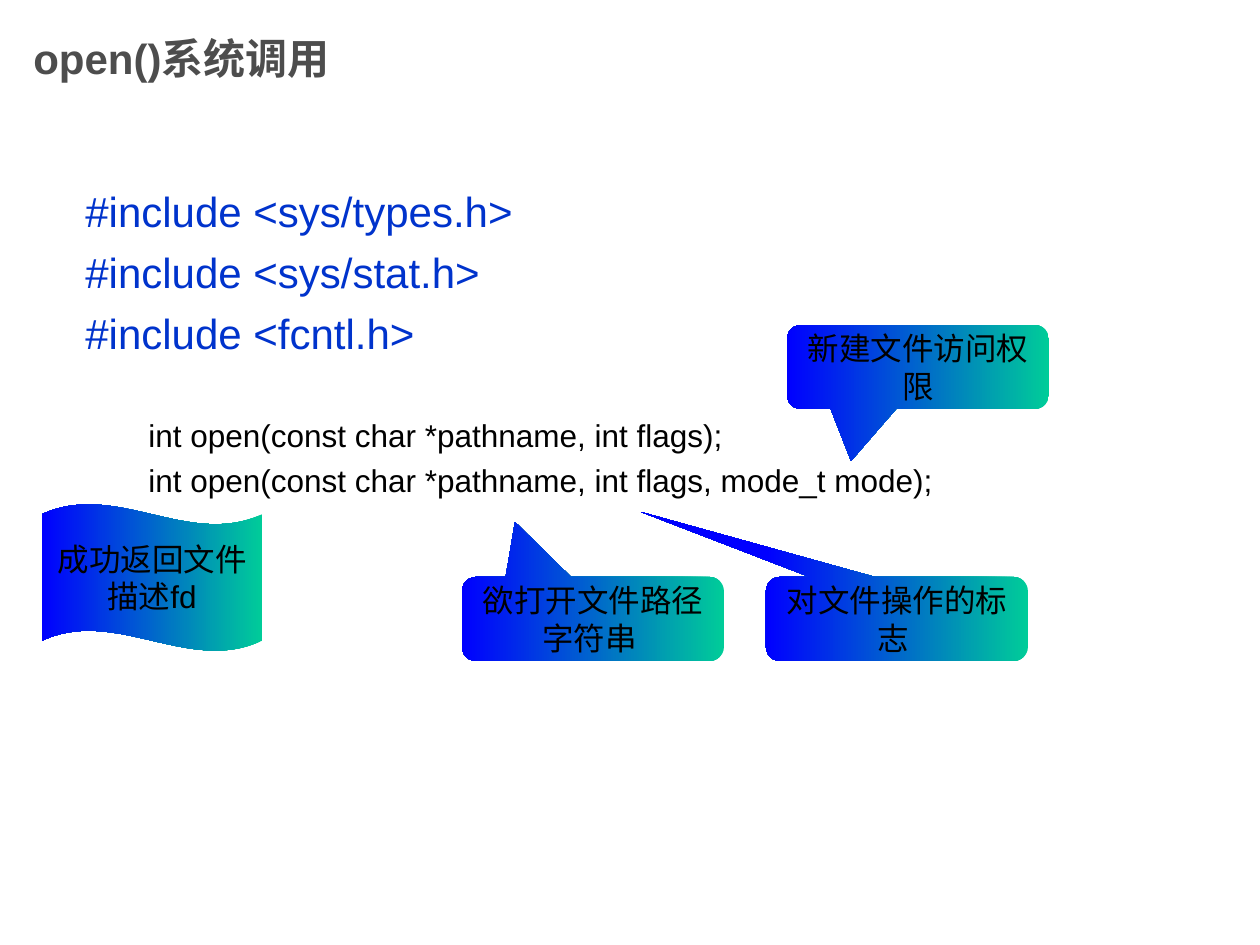
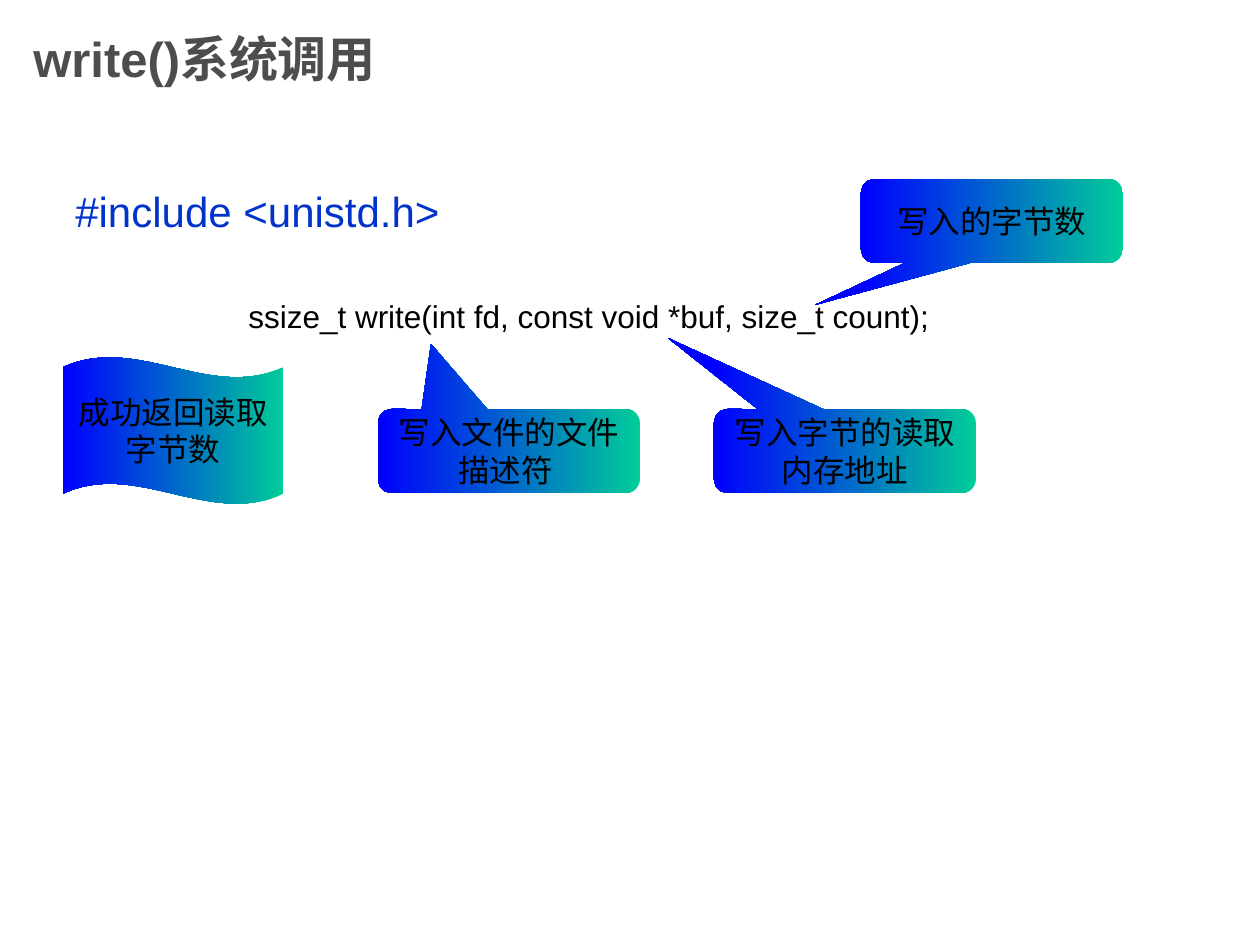
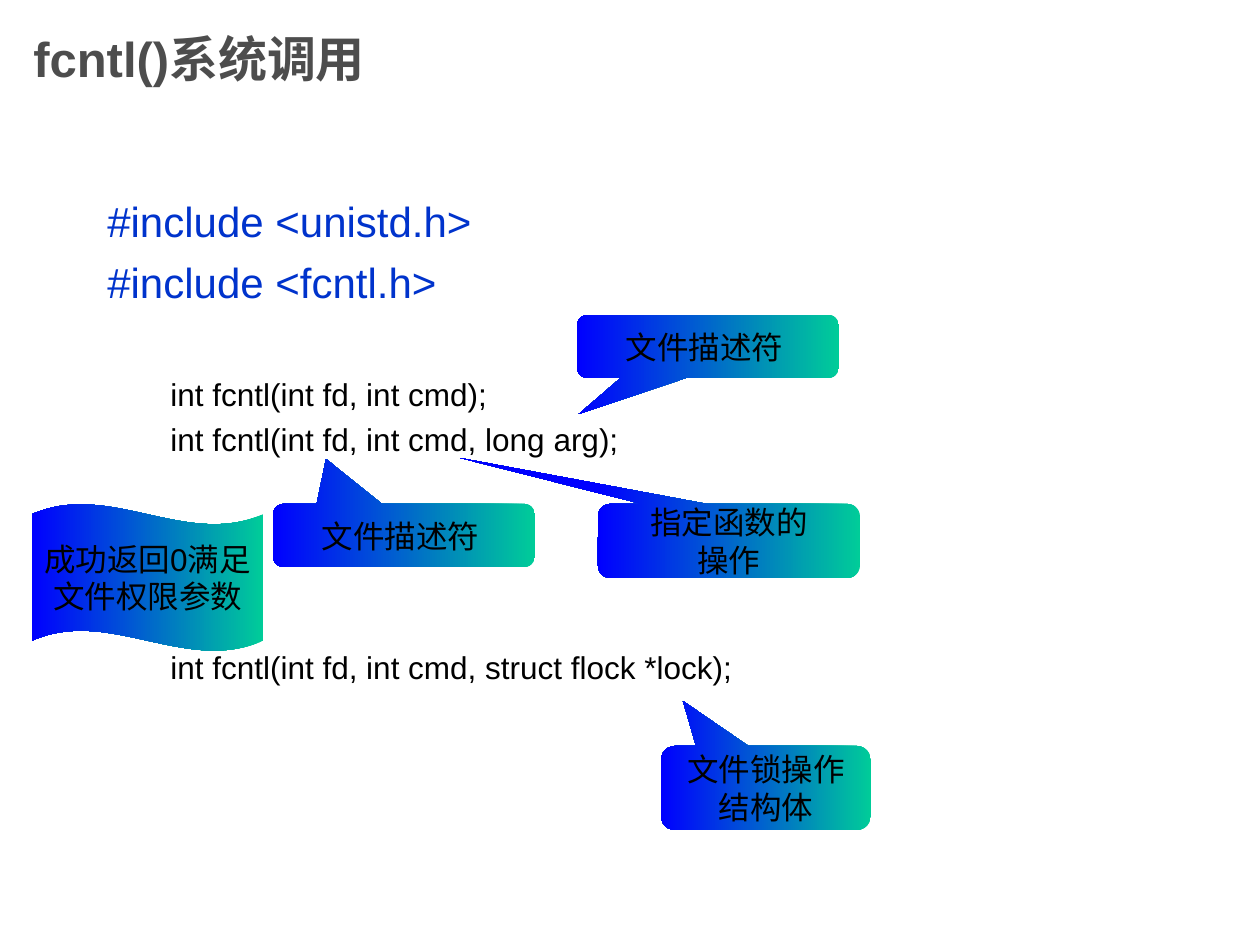
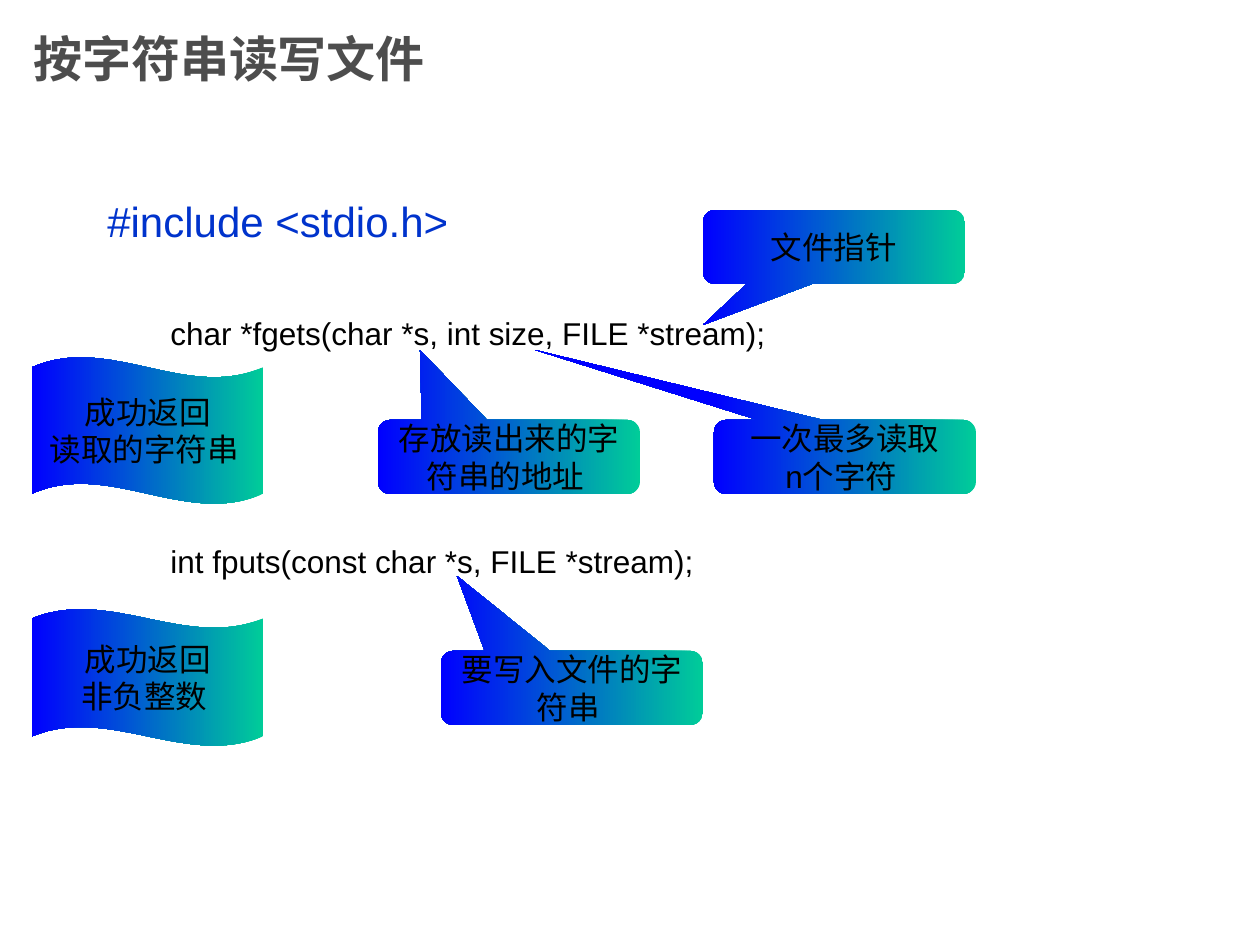
from pptx import Presentation
from pptx.dml.color import RGBColor
from pptx.enum.shapes import MSO_SHAPE
from pptx.enum.text import MSO_ANCHOR, PP_ALIGN
from pptx.util import Pt

PX = 914400 // 126
CALLOUT, WAVE = MSO_SHAPE.ROUNDED_RECTANGULAR_CALLOUT, MSO_SHAPE.WAVE
MIDDLE, TOP = MSO_ANCHOR.MIDDLE, MSO_ANCHOR.TOP
CENTER, LEFT = PP_ALIGN.CENTER, PP_ALIGN.LEFT

GRAY = RGBColor(0x4D, 0x4D, 0x4D)
NAVY = RGBColor(0x00, 0x33, 0xCC)
BLACK = RGBColor(0, 0, 0)
GREEN = RGBColor(0x00, 0xCC, 0x99)
BLUE = RGBColor(0x00, 0x00, 0xFF)

INCLUDE = {"size": Pt(24), "color": NAVY, "line_spacing": Pt(28.8)}
CODE = {"size": Pt(18), "color": BLACK, "line_spacing": Pt(21.5)}
LABEL = {"size": Pt(18), "color": BLACK, "alignment": CENTER}
TITLE_BOX = (21, 0, 945, 116)
BODY_SIZE = (1071, 651)
CALLOUT_WIDTH = 262
CODE_INDENT = 63

SLIDES = [
    {
        "title": "open()系统调用", "title_size": 24, "body_at": (73, 179),
        "includes": ["#include <sys/types.h>", "#include <sys/stat.h>", "#include <fcntl.h>"],
        "code": [("int open(const char *pathname, int flags);", 33.5),
                 ("int open(const char *pathname, int flags, mode_t mode);", 4.5)],
        "callouts": [(["欲打开文件路径字符串 "], (462, 577, CALLOUT_WIDTH, 84), (515, 522)),
                     (["对文件操作的标志 "], (766, 577, CALLOUT_WIDTH, 84), (641, 512)),
                     (["新建文件访问权限"], (787, 325, CALLOUT_WIDTH, 84), (851, 461))],
        "flags": [(["成功返回文件", "描述fd"], (42, 504, 220, 147))],
    },
    {
        "title": "write()系统调用", "title_size": 28, "body_at": (63, 179), "code_indent": 173,
        "includes": ["#include <unistd.h>"],
        "code": [("ssize_t write(int fd, const void *buf, size_t count);", 35)],
        "callouts": [(["写入文件的文件描述符 "], (378, 409, CALLOUT_WIDTH, 84), (431, 344)),
                     (["写入字节的读取内存地址"], (714, 409, CALLOUT_WIDTH, 84), (668, 338)),
                     (["写入的字节数"], (861, 179, CALLOUT_WIDTH, 84), (815, 305))],
        "flags": [(["成功返回读取", "字节数"], (63, 357, 220, 147))],
    },
    {
        "title": "fcntl()系统调用", "title_size": 28, "body_at": (95, 189),
        "includes": ["#include <unistd.h>", "#include <fcntl.h>"],
        "code": [("int fcntl(int fd, int cmd);", 39),
                 ("int fcntl(int fd, int cmd, long arg);", 4.5),
                 ("int fcntl(int fd, int cmd, struct flock *lock);", 109)],
        "callouts": [(["文件描述符 "], (273, 504, CALLOUT_WIDTH, 63), (326, 459)),
                     (["指定函数的", "操作"], (598, 504, CALLOUT_WIDTH, 74), (460, 458)),
                     (["文件描述符 "], (577, 315, CALLOUT_WIDTH, 63), (579, 414)),
                     (["文件锁操作", "结构体"], (661, 746, 210, 84), (683, 701))],
        "flags": [(["成功返回0满足", "文件权限参数"], (32, 504, 231, 147))],
    },
    {
        "title": "按字符串读写文件", "title_size": 28, "body_at": (95, 189),
        "includes": ["#include <stdio.h>"],
        "code": [("char *fgets(char *s, int size, FILE *stream);", 39),
                 ("int fputs(const char *s, FILE *stream);", 109)],
        "callouts": [(["存放读出来的字符串的地址 "], (378, 420, CALLOUT_WIDTH, 74), (420, 350)),
                     (["一次最多读取", "n个字符 "], (714, 420, CALLOUT_WIDTH, 74), (535, 350)),
                     (["文件指针"], (703, 210, CALLOUT_WIDTH, 74), (703, 325)),
                     (["要写入文件的字符串 "], (441, 651, CALLOUT_WIDTH, 74), (457, 576))],
        "flags": [(["成功返回", "读取的字符串 "], (32, 357, 231, 147)),
                  (["成功返回", "非负整数 "], (32, 609, 231, 137))],
    },
]


def scaled(lengths):
    return [length * PX for length in lengths]


def write(box, lines, anchor, wrap=True):
    frame = box.text_frame
    frame.word_wrap = wrap
    frame.vertical_anchor = anchor
    for number, (text, style) in enumerate(lines):
        paragraph = frame.add_paragraph() if number else frame.paragraphs[0]
        span = paragraph.add_run()
        span.text = text
        span.font.name = "Arial"
        for key, value in style.items():
            if key == "color":
                span.font.color.rgb = value
            elif key == "indent":
                paragraph._p.get_or_add_pPr().set("marL", str(value * PX))
            else:
                target = span.font if key in ("size", "bold") else paragraph
                setattr(target, key, value)


def add_text(page, place, lines, anchor):
    write(page.shapes.add_textbox(*scaled(place)), lines, anchor)


def add_label(page, kind, place, lines, adjustments, wrap):
    shape = page.shapes.add_shape(kind, *scaled(place))
    shape.shadow.inherit = False
    shape.line.fill.background()
    shape.fill.gradient()
    shape.fill.gradient_angle = 180
    for stop, color in zip(shape.fill.gradient_stops, (GREEN, BLUE)):
        stop.color.rgb = color
    for index, value in enumerate(adjustments):
        shape.adjustments[index] = value
    write(shape, [(line, LABEL) for line in lines], MIDDLE, wrap)


def tip_offsets(place, tip):
    left, top, width, height = place
    return (tip[0] - left) / width - 0.5, (tip[1] - top) / height - 0.5


def add_page(deck, content):
    page = deck.slides.add_slide(deck.slide_layouts[6])
    title_style = {"size": Pt(content["title_size"]), "color": GRAY, "bold": True, "alignment": LEFT}
    add_text(page, TITLE_BOX, [(content["title"], title_style)], MIDDLE)

    body = [(line, {**INCLUDE, "space_before": Pt(6 if number else 0)})
            for number, line in enumerate(content["includes"])]
    indent = content.get("code_indent", CODE_INDENT)
    body += [(line, {**CODE, "indent": indent, "space_before": Pt(gap)})
             for line, gap in content["code"]]
    add_text(page, content["body_at"] + BODY_SIZE, body, TOP)

    for lines, place, tip in content["callouts"]:
        add_label(page, CALLOUT, place, lines, tip_offsets(place, tip), True)
    for lines, place in content["flags"]:
        add_label(page, WAVE, place, lines, (0.07, 0), False)


def main():
    deck = Presentation()
    deck.slide_width, deck.slide_height = scaled((1260, 945))
    for content in SLIDES:
        add_page(deck, content)
    deck.save("out.pptx")


if __name__ == "__main__":
    main()
